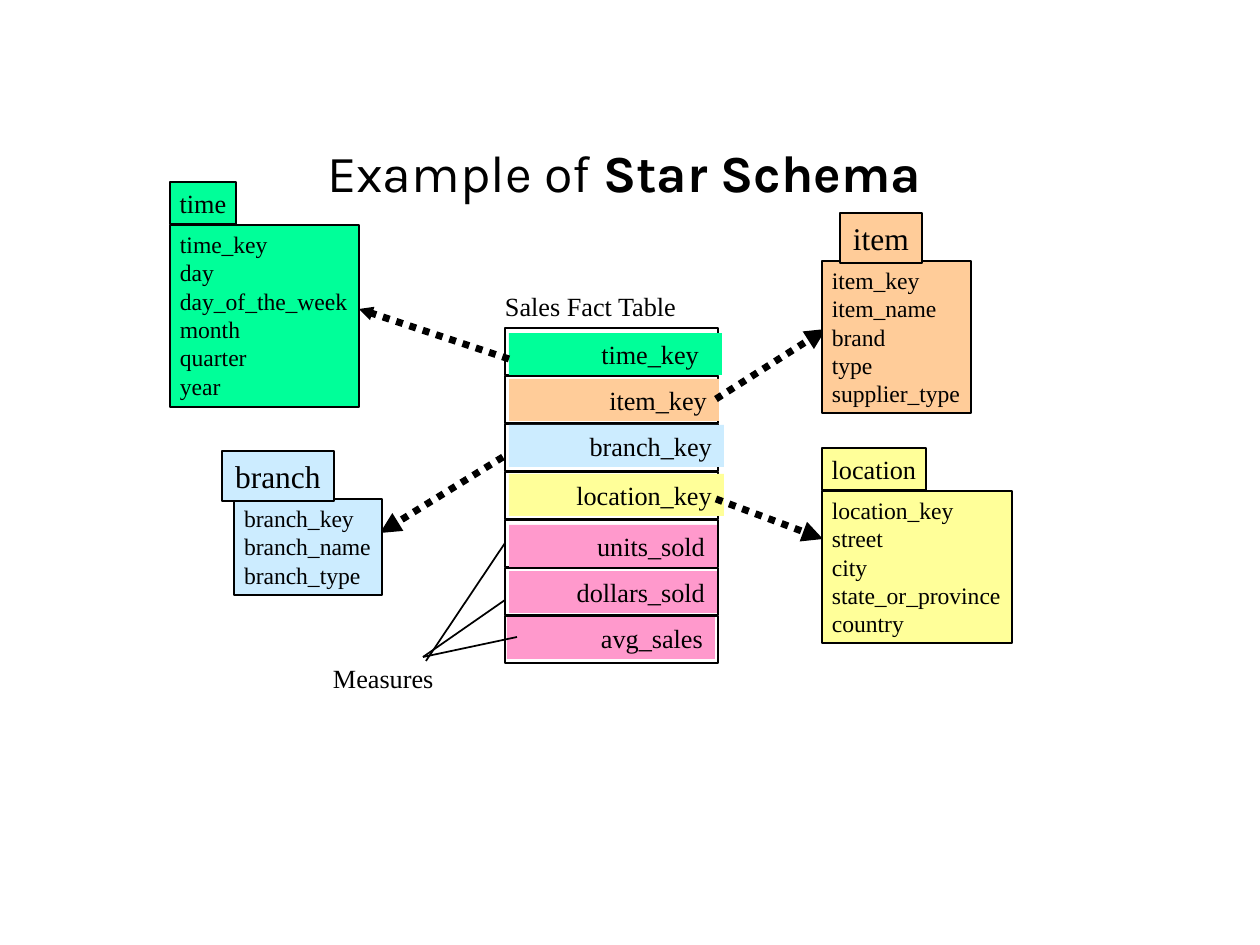
"""Build a slide showing a star schema for a sales fact table."""
from lxml import etree
from pptx import Presentation
from pptx.dml.color import RGBColor
from pptx.enum.dml import MSO_LINE
from pptx.enum.shapes import MSO_CONNECTOR, MSO_SHAPE
from pptx.enum.text import MSO_ANCHOR, MSO_AUTO_SIZE, PP_ALIGN
from pptx.oxml.ns import qn
from pptx.util import Emu, Pt

RECTANGLE = MSO_SHAPE.RECTANGLE
STRAIGHT = MSO_CONNECTOR.STRAIGHT
DOTTED = MSO_LINE.ROUND_DOT
MIDDLE = MSO_ANCHOR.MIDDLE
NO_AUTOFIT = MSO_AUTO_SIZE.NONE
LEFT, CENTER, RIGHT = PP_ALIGN.LEFT, PP_ALIGN.CENTER, PP_ALIGN.RIGHT

BLACK = RGBColor(0x00, 0x00, 0x00)
GREEN = RGBColor(0x00, 0xFF, 0x99)
ORANGE = RGBColor(0xFF, 0xCC, 0x99)
BLUE = RGBColor(0xCC, 0xEC, 0xFF)
YELLOW = RGBColor(0xFF, 0xFF, 0x99)
PINK = RGBColor(0xFF, 0x99, 0xCC)

TITLE_FONT = "Karla"
BODY_FONT = "Times New Roman"
PX_PER_INCH = 126

FACT_LEFT, FACT_TOP, FACT_WIDTH, ROW_HEIGHT, ROW_PITCH = 505, 328, 213, 47, 48
BAR_HEIGHT = 42
FACT_ROWS = [
    ("time_key", GREEN, (509, 333, 213), 23),
    ("item_key", ORANGE, (509, 379, 210), 12),
    ("branch_key", BLUE, (509, 425, 215), 12),
    ("location_key", YELLOW, (509, 474, 215), 12),
    ("units_sold", PINK, (509, 525, 208), 12),
    ("dollars_sold", PINK, (509, 571, 208), 12),
    ("avg_sales", PINK, (507, 617, 208), 12),
]
DIMENSIONS = [
    ("time", GREEN, (170, 182, 66, 42), 15, (170, 225, 189, 182),
     ["time_key", "day", "day_of_the_week", "month", "quarter", "year"]),
    ("location", YELLOW, (822, 448, 104, 42), 15, (822, 491, 190, 152),
     ["location_key", "street", "city", "state_or_province", "country"]),
    ("item", ORANGE, (840, 213, 82, 50), 18, (822, 261, 149, 152),
     ["item_key", "item_name", "brand", "type", "supplier_type"]),
    ("branch", BLUE, (222, 451, 112, 50), 18, (234, 499, 148, 96),
     ["branch_key", "branch_name", "branch_type"]),
]
KEY_ARROWS = [
    ((503, 457), (380, 533), "med"),
    ((509, 359), (359, 309), "sm"),
    ((716, 499), (823, 539), "med"),
    ((716, 399), (826, 329), "med"),
]
MEASURE_LINES = [
    ((426, 661), (505, 543)),
    ((423, 657), (505, 600)),
    ((423, 657), (517, 637)),
]


def px(*lengths):
    """Turn pixel lengths into EMU."""
    return [Emu(round(length * 914400 / PX_PER_INCH)) for length in lengths]


def write_text(frame, lines, *, size, font=BODY_FONT, align=LEFT, wrap=False,
               insets=(10, 5, 10, 5), anchor=None, spacing=None):
    """Fill a frame with lines, each a list of (text, bold) runs."""
    frame.word_wrap = wrap
    frame.auto_size = NO_AUTOFIT
    frame.margin_left, frame.margin_top, frame.margin_right, frame.margin_bottom = px(*insets)
    if anchor is not None:
        frame.vertical_anchor = anchor
    for index, line in enumerate(lines):
        paragraph = frame.add_paragraph() if index else frame.paragraphs[0]
        paragraph.alignment = align
        paragraph.line_spacing = spacing
        for text, bold in line:
            run = paragraph.add_run()
            run.text = text
            run.font.name = font
            run.font.size = Pt(size)
            run.font.bold = bold
            run.font.color.rgb = BLACK


def add_box(slide, bounds, *, fill=None, line_width=None):
    """Add a rectangle and return its text frame."""
    box = slide.shapes.add_shape(RECTANGLE, *px(*bounds))
    box.shadow.inherit = False
    if fill is None:
        box.fill.background()
    else:
        box.fill.solid()
        box.fill.fore_color.rgb = fill
    if line_width is None:
        box.line.fill.background()
    else:
        box.line.color.rgb = BLACK
        box.line.width = Pt(line_width)
    box.text_frame.vertical_anchor = MSO_ANCHOR.TOP
    return box.text_frame


def add_line(slide, start, end, *, width=1, head_size=None):
    """Add a line, dotted with an arrowhead if a head size is given."""
    connector = slide.shapes.add_connector(STRAIGHT, *px(*start, *end))
    connector.line.color.rgb = BLACK
    connector.line.width = Pt(width)
    if head_size:
        connector.line.dash_style = DOTTED
        etree.SubElement(connector.line._get_or_add_ln(), qn("a:tailEnd"),
                         type="triangle", w=head_size, len=head_size)
    etree.SubElement(connector._element.spPr, qn("a:effectLst"))


def add_label(slide, text, bounds):
    """Add a plain text label."""
    label = slide.shapes.add_textbox(*px(*bounds))
    write_text(label.text_frame, [[(text, False)]], size=15)


def add_title(slide):
    """Place and fill the title."""
    title = slide.shapes.title
    title.left, title.top, title.width, title.height = px(314, 150, 804, 52)
    write_text(title.text_frame, [[("Example of ", False), ("Star Schema", True)]],
               size=29.7, font=TITLE_FONT, wrap=True, insets=(13, 6, 13, 6),
               anchor=MIDDLE, spacing=0.9)


def add_fact_table(slide):
    """Stack the outlined rows of the fact table with their coloured bars."""
    for index, (field, color, (left, top, width), right_inset) in enumerate(FACT_ROWS):
        row_top = FACT_TOP + index * ROW_PITCH
        add_box(slide, (FACT_LEFT, row_top, FACT_WIDTH, ROW_HEIGHT), line_width=1)
        bar = add_box(slide, (left, top, width, BAR_HEIGHT), fill=color)
        write_text(bar, [[(field, False)]], size=15, align=RIGHT, wrap=True,
                   insets=(10, 5, right_inset, 5))


def add_dimension(slide, name, color, name_bounds, name_size, field_bounds, fields):
    """Add a dimension table as a field list with a name tab above it."""
    field_box = add_box(slide, field_bounds, fill=color, line_width=0.75)
    write_text(field_box, [[(field, False)] for field in fields], size=13.5)
    name_box = add_box(slide, name_bounds, fill=color, line_width=0.75)
    write_text(name_box, [[(name, False)]], size=name_size, align=CENTER, anchor=MIDDLE)


def main():
    """Build and save the slide."""
    presentation = Presentation()
    presentation.slide_width, presentation.slide_height = px(1260, 945)
    slide = presentation.slides.add_slide(presentation.slide_layouts[5])
    add_title(slide)
    add_label(slide, "Sales Fact Table", (495, 285, 191, 42))
    add_fact_table(slide)
    add_label(slide, "Measures", (323, 657, 126, 42))
    for start, end in MEASURE_LINES:
        add_line(slide, start, end)
    for start, end, head_size in KEY_ARROWS:
        add_line(slide, start, end, width=4, head_size=head_size)
    for dimension in DIMENSIONS:
        add_dimension(slide, *dimension)
    presentation.save("out.pptx")


if __name__ == "__main__":
    main()
